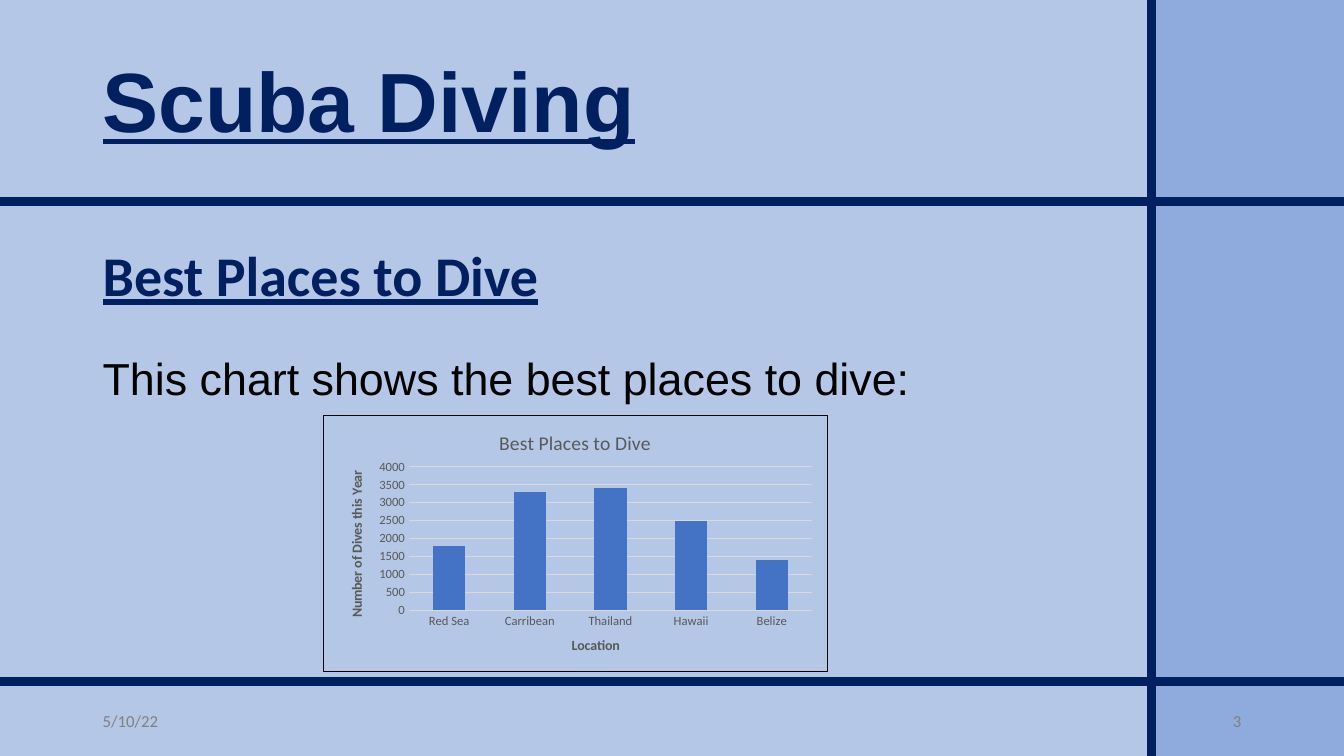
from pptx import Presentation
from pptx.chart.data import CategoryChartData
from pptx.dml.color import RGBColor
from pptx.enum.chart import XL_CHART_TYPE, XL_TICK_MARK
from pptx.enum.shapes import MSO_CONNECTOR, MSO_SHAPE
from pptx.enum.text import MSO_ANCHOR, PP_ALIGN
from pptx.oxml import parse_xml
from pptx.oxml.ns import nsdecls, qn
from pptx.util import Inches, Pt

COLUMN = XL_CHART_TYPE.COLUMN_CLUSTERED
NO_TICK = XL_TICK_MARK.NONE
STRAIGHT = MSO_CONNECTOR.STRAIGHT
RECTANGLE = MSO_SHAPE.RECTANGLE
TOP, MIDDLE = MSO_ANCHOR.TOP, MSO_ANCHOR.MIDDLE
LEFT, RIGHT = PP_ALIGN.LEFT, PP_ALIGN.RIGHT

THEME = {
    "sky": "B4C7E7", "band": "8FAADC", "navy": "002060", "black": "000000",
    "grey": "808080", "label": "595959", "grid": "D9D9D9", "bar": "4472C4",
    "heading": "Arial", "body": "Calibri",
    "topic": 60, "title": 40, "intro": 32, "footer": 12,
    "chart_title": 14, "axis_title": 10, "axis": 9,
}
WIDTH, HEIGHT = 13.33, 7.5
MARGIN, BAND_LEFT = 0.92, 11.42
HEADER_LINE, FOOTER_LINE = 2, 6.76
FOOTER_TOP, FOOTER_WIDTH = 6.95, 3


def colour(name):
    return RGBColor.from_string(THEME[name])


def style(font, size, ink, face="body", bold=False, underline=False):
    font.size, font.name = Pt(THEME[size]), THEME[face]
    font.bold, font.underline = bold, underline
    font.color.rgb = colour(ink)


presentation = Presentation()
presentation.slide_width, presentation.slide_height = Inches(WIDTH), Inches(HEIGHT)
slide = presentation.slides.add_slide(presentation.slide_layouts[6])
slide.background.fill.solid()
slide.background.fill.fore_color.rgb = colour("sky")

# Side band
band = slide.shapes.add_shape(RECTANGLE, Inches(BAND_LEFT), 0,
                              Inches(WIDTH - BAND_LEFT), Inches(HEIGHT))
band.shadow.inherit = False
band.fill.solid()
band.fill.fore_color.rgb = band.line.color.rgb = colour("band")
band.line.width = Pt(1)

# Dividing lines
for ends in [(0, HEADER_LINE, WIDTH, HEADER_LINE),
             (0, FOOTER_LINE, WIDTH, FOOTER_LINE),
             (BAND_LEFT, 0, BAND_LEFT, HEIGHT)]:
    divider = slide.shapes.add_connector(STRAIGHT, *map(Inches, ends))
    divider.line.color.rgb = colour("navy")
    divider.line.width = Pt(6)
    divider.element.spPr.append(parse_xml(f'<a:effectLst {nsdecls("a")}/>'))

# Headings, introduction and footer: text, box, anchor, alignment, spacing, font
texts = [
    ("Scuba Diving", (MARGIN, 0.43, 10.4, 1.11), TOP, LEFT, 1, 0,
     ("topic", "navy", "heading", True, True)),
    ("Best Places to Dive", (MARGIN, 2.12, 11.5, 1.28), MIDDLE, LEFT, 0.9, 0,
     ("title", "navy", "body", True, True)),
    ("This chart shows the best places to dive:", (MARGIN, 3.49, 10.4, 3.18),
     TOP, LEFT, 0.9, 10, ("intro", "black", "heading")),
    ("5/10/22", (MARGIN, FOOTER_TOP, FOOTER_WIDTH, 0.4), MIDDLE, LEFT, 1, 0,
     ("footer", "grey")),
    ("3", (WIDTH - MARGIN - FOOTER_WIDTH, FOOTER_TOP, FOOTER_WIDTH, 0.4),
     MIDDLE, RIGHT, 1, 0, ("footer", "grey")),
]
for words, box, anchor, alignment, line_spacing, space_before, look in texts:
    frame = slide.shapes.add_textbox(*map(Inches, box)).text_frame
    frame.word_wrap, frame.vertical_anchor = True, anchor
    paragraph = frame.paragraphs[0]
    paragraph.text, paragraph.alignment = words, alignment
    paragraph.line_spacing, paragraph.space_before = line_spacing, Pt(space_before)
    style(paragraph.font, *look)

# Chart of dives by location
dives = CategoryChartData()
dives.categories = ["Red Sea", "Carribean", "Thailand", "Hawaii", "Belize"]
dives.add_series("Series 1", [1800, 3300, 3400, 2500, 1400])
chart = slide.shapes.add_chart(COLUMN, *map(Inches, (3.2, 4.12, 5.01, 2.55)), dives).chart
style(chart.font, "axis_title", "black")
chart.has_legend = False

# Chart and axis titles
location_axis, count_axis = chart.category_axis, chart.value_axis
for owner, words, size, bold in [
        (chart, "Best Places to Dive", "chart_title", False),
        (location_axis, "Location", "axis_title", True),
        (count_axis, "Number of Dives this Year", "axis_title", True)]:
    owner.has_title = True
    title = owner.chart_title if owner is chart else owner.axis_title
    title.text_frame.text = words
    style(title.text_frame.paragraphs[0].font, size, "label", bold=bold)
chart.chart_title.include_in_layout = False

# Axes and gridlines
for axis in (location_axis, count_axis):
    axis.major_tick_mark = axis.minor_tick_mark = NO_TICK
    style(axis.tick_labels.font, "axis", "label")
count_axis.minimum_scale, count_axis.maximum_scale, count_axis.major_unit = 0, 4000, 500
count_axis.format.line.fill.background()
for rule in (location_axis.format.line, count_axis.major_gridlines.format.line):
    rule.color.rgb = colour("grid")
    rule.width = Pt(0.75)

# Bars
plot = chart.plots[0]
plot.gap_width, plot.vary_by_categories = 150, False
bars = plot.series[0].format.fill
bars.solid()
bars.fore_color.rgb = colour("bar")

# Plot area position and chart border
plot_area = chart.element.chart.plotArea
for layout in plot_area.findall(qn("c:layout")):
    plot_area.remove(layout)
shares = "".join(f'<c:{key} val="{share}"/>' for key, share in
                 [("x", 0.17), ("y", 0.2), ("w", 0.8), ("h", 0.56)])
plot_area.insert(0, parse_xml(
    f'<c:layout {nsdecls("c")}><c:manualLayout><c:layoutTarget val="inner"/>'
    f'<c:xMode val="edge"/><c:yMode val="edge"/>{shares}</c:manualLayout></c:layout>'))
chart.element.chart.addnext(parse_xml(
    f'<c:spPr {nsdecls("c", "a")}><a:noFill/><a:ln w="{Pt(0.75)}"><a:solidFill>'
    f'<a:srgbClr val="{THEME["black"]}"/></a:solidFill></a:ln></c:spPr>'))

presentation.save("out.pptx")
